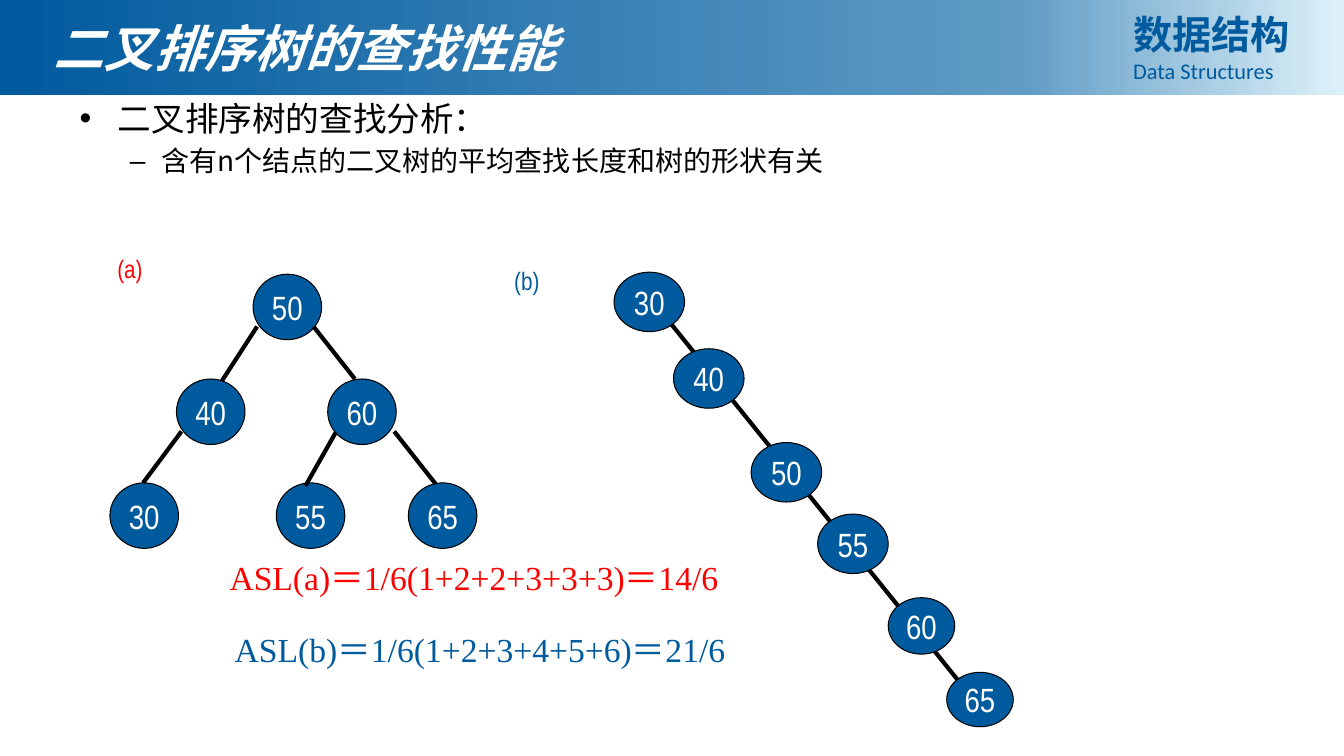
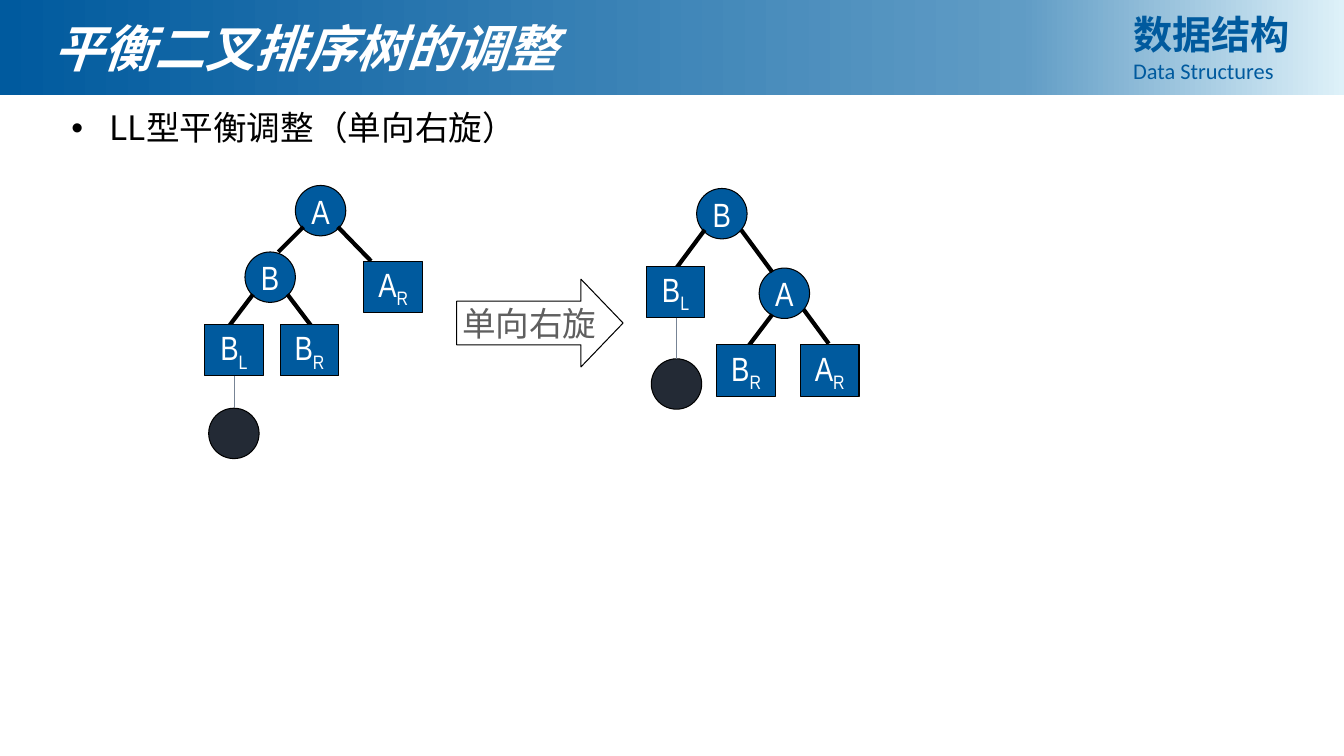
from lxml import etree
from pptx import Presentation
from pptx.dml.color import RGBColor
from pptx.enum import shapes, text
from pptx.oxml.ns import qn
from pptx.util import Inches, Pt

BLUE = RGBColor(0x00, 0x5A, 0x9E)
MID = RGBColor(0x60, 0x9C, 0xC5)
PALE = RGBColor(0xDE, 0xF1, 0xF9)
WHITE = RGBColor(0xFF, 0xFF, 0xFF)
BLACK = RGBColor(0x00, 0x00, 0x00)
RED = RGBColor(0xFF, 0x00, 0x00)
GRAY = RGBColor(0x5F, 0x5F, 0x5F)
DARK = RGBColor(0x23, 0x2A, 0x35)
STEEL = RGBColor(0x77, 0x84, 0x95)

HAN = "Noto Sans CJK SC"
SERIF = "Times New Roman"
NARROW = "Arial Narrow"
LATIN = "Calibri"

OVAL = shapes.MSO_SHAPE.OVAL
RECT = shapes.MSO_SHAPE.RECTANGLE
ARROW = shapes.MSO_SHAPE.RIGHT_ARROW
CENTER = text.PP_ALIGN.CENTER
JUSTIFY = text.PP_ALIGN.JUSTIFY


def add_run(para, words, size, face, color, bold=False, italic=False, base=0):
    run = para.add_run()
    run.text = words
    font = run.font
    font.size, font.name, font.bold, font.italic = Pt(size), face, bold, italic
    font.color.rgb = color
    props = run._r.get_or_add_rPr()
    if base:
        props.set("baseline", str(base * 1000))
    latin = props.find(qn("a:latin"))
    east = etree.Element(qn("a:ea"), typeface=HAN)
    latin.addnext(east)


def add_box(slide, left, top, width, height, wrap=True):
    box = slide.shapes.add_textbox(
        Inches(left), Inches(top), Inches(width), Inches(height))
    box.text_frame.word_wrap = wrap
    return box.text_frame


def add_label(slide, place, words, size, face, color, wrap=True):
    para = add_box(slide, *place, wrap=wrap).paragraphs[0]
    para.alignment = CENTER
    add_run(para, words, size, face, color)


def add_bullet(para, mark, left, hang):
    props = para._p.get_or_add_pPr()
    props.set("marL", str(Inches(left)))
    props.set("indent", str(-Inches(hang)))
    etree.SubElement(props, qn("a:buFont"), typeface="Arial")
    etree.SubElement(props, qn("a:buChar"), char=mark)


def add_form(slide, kind, left, top, width, height, fill):
    form = slide.shapes.add_shape(
        kind, Inches(left), Inches(top), Inches(width), Inches(height))
    form.shadow.inherit = False
    form.fill.solid()
    form.fill.fore_color.rgb = fill
    form.line.color.rgb = BLACK
    form.line.width = Pt(0.75)
    return form


def add_node(slide, kind, left, top, width, height, words="", sub="", fill=BLUE):
    """Draw a tree node with its key and an optional subscript."""
    form = add_form(slide, kind, left, top, width, height, fill)
    frame = form.text_frame
    frame.word_wrap = False
    frame.vertical_anchor = text.MSO_ANCHOR.MIDDLE
    para = frame.paragraphs[0]
    para.alignment = CENTER
    if words:
        add_run(para, words, 24, NARROW, WHITE)
    if sub:
        add_run(para, sub, 24, NARROW, WHITE, base=-25)


def add_edge(slide, x1, y1, x2, y2, color=BLACK, width=3):
    line = slide.shapes.add_connector(
        shapes.MSO_CONNECTOR.STRAIGHT,
        Inches(x1), Inches(y1), Inches(x2), Inches(y2))
    line.line.color.rgb = color
    line.line.width = Pt(width)
    etree.SubElement(line._element.spPr, qn("a:effectLst"))


def add_band(slide):
    band = add_form(slide, RECT, 0, 0, 13.33, 0.94, BLUE)
    band.line.fill.background()
    band.fill.gradient()
    band.fill.gradient_angle = 0
    stops = band._element.spPr.find(".//" + qn("a:gsLst"))
    for stop in list(stops):
        stops.remove(stop)
    for place, color in ((0, BLUE), (76, MID), (100, PALE)):
        stop = etree.SubElement(stops, qn("a:gs"), pos=str(place * 1000))
        etree.SubElement(stop, qn("a:srgbClr"), val=str(color))


def add_page(deck, title):
    """Start a slide with the shared band, course name and title."""
    slide = deck.slides.add_slide(deck.slide_layouts[6])
    add_band(slide)
    frame = add_box(slide, 11.14, 0.05, 1.91, 0.84)
    first, second = frame.paragraphs[0], frame.add_paragraph()
    first.alignment = second.alignment = JUSTIFY
    add_run(first, "数据结构", 28, HAN, BLUE, bold=True)
    add_run(second, "Data Structures", 16, LATIN, BLUE)
    head = add_box(slide, 0.43, 0.12, 6.7, 0.71).paragraphs[0]
    add_run(head, title, 36, SERIF, WHITE, bold=True, italic=True)
    return slide


def draw_search(deck):
    slide = add_page(deck, "二叉排序树的查找性能")
    frame = add_box(slide, 0.69, 0.92, 10.68, 1.2)
    topic, point = frame.paragraphs[0], frame.add_paragraph()
    add_bullet(topic, "•", 0.38, 0.38)
    add_run(topic, "二叉排序树的查找分析：", 24, HAN, BLACK)
    point.space_before = Pt(4)
    add_bullet(point, "–", 0.81, 0.31)
    add_run(point, "含有n个结点的二叉树的平均查找长度和树的形状有关", 20, HAN, BLACK)

    add_label(slide, (0.72, 5.48, 7.96, 0.5),
              "ASL(a)＝1/6(1+2+2+3+3+3)＝14/6", 24, SERIF, RED)
    add_label(slide, (0.78, 6.19, 7.96, 0.5),
              "ASL(b)＝1/6(1+2+3+4+5+6)＝21/6", 24, SERIF, BLUE)
    add_label(slide, (1.06, 2.46, 0.46, 0.4), "(a)", 18, NARROW, RED, False)
    add_label(slide, (5, 2.58, 0.45, 0.4), "(b)", 18, NARROW, BLUE, False)

    for key, left, top in (
            ("50", 2.51, 2.72), ("40", 1.75, 3.76), ("60", 3.25, 3.76),
            ("30", 1.09, 4.79), ("55", 2.74, 4.79), ("65", 4.05, 4.79)):
        add_node(slide, OVAL, left, top, 0.68, 0.65, key)
    for ends in (
            (2.55, 3.24, 2.2, 3.78), (3.11, 3.24, 3.52, 3.76),
            (1.8, 4.28, 1.42, 4.79), (3.33, 4.29, 3.03, 4.82),
            (3.91, 4.28, 4.32, 4.8)):
        add_edge(slide, *ends)

    add_edge(slide, 6.46, 2.97, 9.76, 7.07)
    for key, left, top, width, height in (
            ("30", 6.09, 2.7, 0.7, 0.59), ("40", 6.68, 3.46, 0.7, 0.59),
            ("50", 7.45, 4.39, 0.7, 0.59), ("55", 8.11, 5.1, 0.7, 0.59),
            ("60", 8.81, 5.93, 0.66, 0.56), ("65", 9.39, 6.67, 0.66, 0.54)):
        add_node(slide, OVAL, left, top, width, height, key)


def draw_tree(slide, balls, blocks, edges, leaf, stem):
    """Draw round nodes, subtree blocks, edges and the added leaf."""
    for key, left, top in balls:
        add_node(slide, OVAL, left, top, 0.5, 0.5, key)
    for ends in edges:
        add_edge(slide, *ends)
    for key, sub, left, top in blocks:
        add_node(slide, RECT, left, top, 0.58, 0.51, key, sub)
    add_node(slide, OVAL, *leaf, 0.5, 0.5, fill=DARK)
    mid = leaf[0] + 0.25
    add_edge(slide, mid, stem, mid, leaf[1], STEEL, 0.25)


def draw_turn(deck):
    slide = add_page(deck, "平衡二叉排序树的调整")
    topic = add_box(slide, 0.61, 1.06, 9, 0.6).paragraphs[0]
    topic.line_spacing = 0.9
    add_bullet(topic, "•", 0.38, 0.38)
    add_run(topic, "LL型平衡调整（单向右旋）", 24, HAN, BLACK)

    arrow = add_form(slide, ARROW, 4.53, 2.77, 1.65, 0.87, WHITE)
    arrow.adjustments[0], arrow.adjustments[1] = 0.5, 0.48
    frame = arrow.text_frame
    frame.word_wrap = False
    frame.vertical_anchor = text.MSO_ANCHOR.MIDDLE
    frame.paragraphs[0].alignment = CENTER
    add_run(frame.paragraphs[0], "单向右旋", 24, HAN, GRAY)

    draw_tree(
        slide,
        balls=(("A", 2.93, 1.84), ("B", 2.43, 2.5)),
        blocks=(("A", "R", 3.61, 2.59), ("B", "L", 2.03, 3.22),
                ("B", "R", 2.78, 3.22)),
        edges=((3.01, 2.25, 2.76, 2.5), (3.35, 2.25, 3.68, 2.59),
               (2.51, 2.92, 2.26, 3.25), (2.85, 2.92, 3.1, 3.25)),
        leaf=(2.07, 4.05), stem=3.73)
    draw_tree(
        slide,
        balls=(("B", 6.91, 1.87), ("A", 7.53, 2.66)),
        blocks=(("B", "L", 6.41, 2.64), ("B", "R", 7.11, 3.42),
                ("A", "R", 7.94, 3.42)),
        edges=((6.99, 2.28, 6.7, 2.67), (7.35, 2.28, 7.66, 2.7),
               (7.66, 3.12, 7.41, 3.45), (7.97, 3.07, 8.22, 3.41)),
        leaf=(6.46, 3.56), stem=3.15)


def main():
    deck = Presentation()
    deck.slide_width, deck.slide_height = Inches(13.33), Inches(7.5)
    draw_search(deck)
    draw_turn(deck)
    deck.save("out.pptx")


if __name__ == "__main__":
    main()
